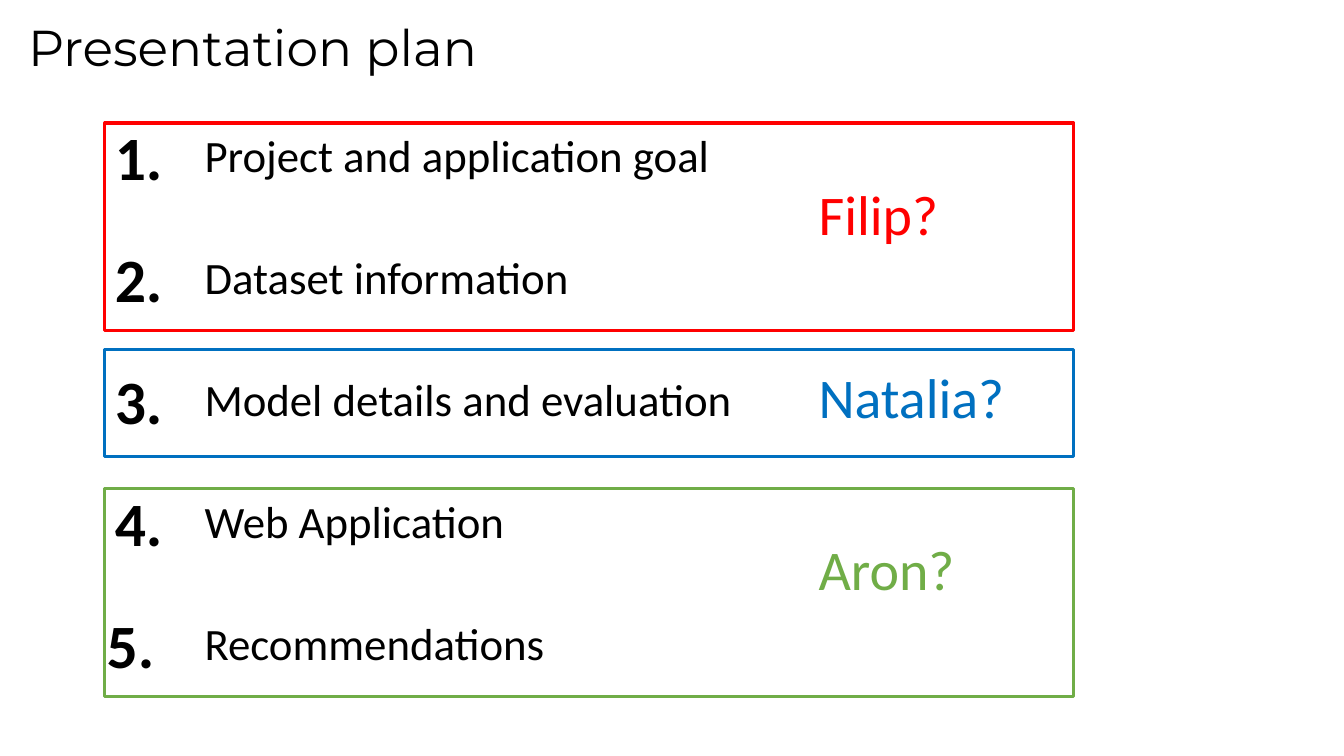
import pptx
import pptx.util
import pptx.dml.color
import pptx.enum.shapes
import pptx.enum.text

inches = pptx.util.Inches
presentation = pptx.Presentation()
presentation.slide_width = inches(13.33)
presentation.slide_height = inches(7.5)
slide = presentation.slides.add_slide(presentation.slide_layouts[6])


def color(hex_string):
    return pptx.dml.color.RGBColor.from_string(hex_string)


def add_text(text, left, top, width, height, size, hex_string="000000", **font_format):
    shape = slide.shapes.add_textbox(inches(left), inches(top), inches(width), inches(height))
    shape.text_frame.word_wrap = True
    shape.text_frame.auto_size = pptx.enum.text.MSO_AUTO_SIZE.SHAPE_TO_FIT_TEXT
    paragraph = shape.text_frame.paragraphs[0]
    run = paragraph.add_run()
    run.text = text
    values = {"name": "Calibri", "size": pptx.util.Pt(size), **font_format}
    for attribute, value in values.items():
        setattr(run.font, attribute, value)
    run.font.color.rgb = color(hex_string)


number_left = 1.04
topic_left = 1.93
presenter_left = 8.02
first_row = 1.13
row_pitch = 1.21

add_text("Presentation plan", 0.18, 0.11, 12.61, 0.71, 36, name="Montserrat")

topics = [
    ("Project and application goal", number_left),
    ("Dataset information", number_left),
    ("Model details and evaluation", number_left),
    ("Web Application", number_left),
    ("Recommendations", number_left - 0.08),
]
for row, (topic, left) in enumerate(topics):
    top = first_row + row * row_pitch
    add_text(f"{row + 1}.", left, top, 0.89, 0.84, 44, bold=True)
    add_text(topic, topic_left, top + 0.09, 7.91, 0.64, 32)

presenters = [
    ("Filip?", "FF0000", 1.73, 1.22, 2.06),
    ("Natalia?", "0070C0", 3.55, 3.47, 1.06),
    ("Aron?", "70AD47", 5.25, 4.85, 2.06),
]
for presenter, hex_string, text_top, frame_top, frame_height in presenters:
    add_text(presenter, presenter_left, text_top, 4.52, 0.77, 40, hex_string)
    frame = slide.shapes.add_shape(
        pptx.enum.shapes.MSO_SHAPE.RECTANGLE,
        inches(number_left), inches(frame_top), inches(9.61), inches(frame_height),
    )
    frame.shadow.inherit = False
    frame.fill.background()
    frame.line.color.rgb = color(hex_string)
    frame.line.width = pptx.util.Pt(2.25)

presentation.save("out.pptx")
